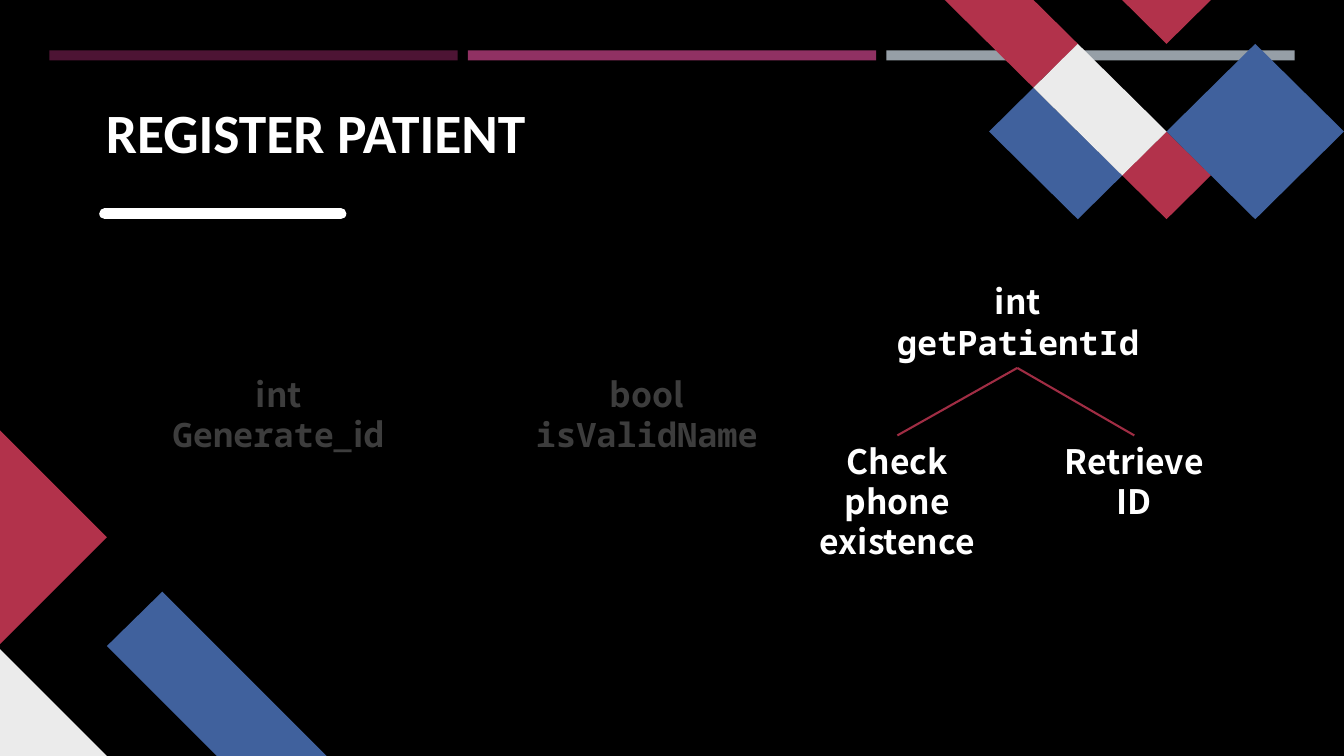
from lxml.etree import SubElement
from pptx import Presentation
from pptx.dml.color import RGBColor
from pptx.enum.shapes import MSO_CONNECTOR, MSO_SHAPE
from pptx.enum.text import MSO_ANCHOR, MSO_AUTO_SIZE, PP_ALIGN
from pptx.oxml.ns import qn
from pptx.util import Inches, Pt

RED, BLUE, PALE = "B2324B", "40619D", "EBEBEB"
WHITE, DIMMED = "FFFFFF", "3D3D3D"
SANS, MONO = "Noto Sans CJK SC", "Noto Sans Mono"

HEADER_BARS = [(0.49, "4D1434"), (4.64, "903163"), (8.79, "969FA7")]

CORNER_PIECES = [
    (BLUE, [[(3.24, 7.5), (2.15, 7.5), (1.06, 6.41), (1.61, 5.87)]]),
    (PALE, [[(1.06, 7.5), (0, 7.5), (0, 6.44)]]),
    (RED, [[(0, 4.27), (1.06, 5.33), (0, 6.39)]]),
]

LATTICE_PIECES = [
    (RED, [[(3, 1), (2, 0), (0, 0), (2, 2)], [(6, 4), (5, 3), (4, 4), (5, 5)]]),
    (BLUE, [[(2, 2), (1, 3), (3, 5), (4, 4)]]),
    (RED, [[(6, 0), (4, 0), (5, 1)]]),
    (PALE, [[(3, 1), (2, 2), (4, 4), (5, 3)]]),
    (BLUE, [[(9, 3), (7, 1), (5, 3), (7, 5)]]),
]

LABELS = [
    ((1.44, 3.66, 2.65, 0.91), DIMMED,
     [[("int ", SANS), ("Generate", MONO), ("_id", SANS)]]),
    ((5.09, 3.66, 2.65, 0.91), DIMMED, [[("bool ", SANS), ("isValidName", MONO)]]),
    ((8.77, 2.74, 2.65, 0.91), WHITE, [[("int ", SANS), ("getPatientId", MONO)]]),
    ((7.97, 4.32, 1.86, 1.31), WHITE, [[("Check", SANS)], [("phone existence", SANS)]]),
    ((10.36, 4.32, 1.78, 0.91), WHITE, [[("Retrieve ID", SANS)]]),
]

BRANCH_START = (10.09, 3.65)
BRANCH_ENDS = [(11.25, 4.32), (8.9, 4.32)]


def color(value):
    return RGBColor.from_string(value)


def set_all(target, formats):
    for name, value in formats.items():
        setattr(target, name, value)


def paint(shape, fill):
    shape.shadow.inherit = False
    shape.fill.solid()
    shape.fill.fore_color.rgb = color(fill)
    shape.line.fill.background()


def add_bar(slide, left, fill):
    bar = slide.shapes.add_shape(
        MSO_SHAPE.RECTANGLE, Inches(left), Inches(0.5), Inches(4.05), Inches(0.1))
    paint(bar, fill)


def add_piece(slide, fill, outlines):
    first, *others = [[(Inches(x), Inches(y)) for x, y in outline]
                      for outline in outlines]
    builder = slide.shapes.build_freeform(*first[0])
    builder.add_line_segments(first[1:], close=True)
    for outline in others:
        builder.move_to(*outline[0])
        builder.add_line_segments(outline[1:], close=True)
    paint(builder.convert_to_shape(), fill)


def lattice_point(column, row):
    return 9.37 + 0.44 * column, 1.74 * row / 4


def add_line(slide, start, end, stroke, width, cap="flat"):
    line = slide.shapes.add_connector(
        MSO_CONNECTOR.STRAIGHT, *map(Inches, start + end))
    line.line.color.rgb = color(stroke)
    line.line.width = Pt(width)
    properties = line.element.spPr
    properties.find(qn("a:ln")).set("cap", cap)
    SubElement(properties, qn("a:effectLst"))


def add_run(paragraph, text, font, size, ink):
    run = paragraph.add_run()
    run.text = text
    set_all(run.font, {"name": font, "size": Pt(size), "bold": True})
    run.font.color.rgb = color(ink)


def set_title(slide, text):
    title = slide.shapes.title
    set_all(title, {"left": Inches(1.05), "top": Inches(0.96),
                    "width": Inches(8.24), "height": Inches(0.67)})
    set_all(title.text_frame, {
        "margin_left": 0, "margin_top": 0, "margin_right": 0, "margin_bottom": 0,
        "vertical_anchor": MSO_ANCHOR.BOTTOM, "auto_size": MSO_AUTO_SIZE.NONE,
        "word_wrap": True})
    paragraph = title.text_frame.paragraphs[0]
    paragraph.alignment = PP_ALIGN.LEFT
    add_run(paragraph, text, "Calibri", 39.6, WHITE)


def add_label(slide, box, ink, lines):
    frame = slide.shapes.add_textbox(*map(Inches, box)).text_frame
    set_all(frame, {"word_wrap": True, "auto_size": MSO_AUTO_SIZE.SHAPE_TO_FIT_TEXT})
    for index, line in enumerate(lines):
        paragraph = frame.add_paragraph() if index else frame.paragraphs[0]
        paragraph.alignment = PP_ALIGN.CENTER
        for text, font in line:
            add_run(paragraph, text, font, 24, ink)


def main():
    presentation = Presentation()
    set_all(presentation, {"slide_width": Inches(13.33), "slide_height": Inches(7.5)})
    slide = presentation.slides.add_slide(presentation.slide_layouts[5])
    slide.background.fill.solid()
    slide.background.fill.fore_color.rgb = color("000000")

    for left, fill in HEADER_BARS:
        add_bar(slide, left, fill)
    for fill, outlines in CORNER_PIECES:
        add_piece(slide, fill, outlines)
    add_line(slide, (1.04, 2.12), (3.38, 2.12), WHITE, 8, "rnd")
    for fill, outlines in LATTICE_PIECES:
        add_piece(slide, fill, [[lattice_point(*spot) for spot in outline]
                                for outline in outlines])

    set_title(slide, "REGISTER PATIENT")
    for box, ink, lines in LABELS:
        add_label(slide, box, ink, lines)
    for end in BRANCH_ENDS:
        add_line(slide, BRANCH_START, end, "A02D44", 1.5)
    presentation.save("out.pptx")


if __name__ == "__main__":
    main()
